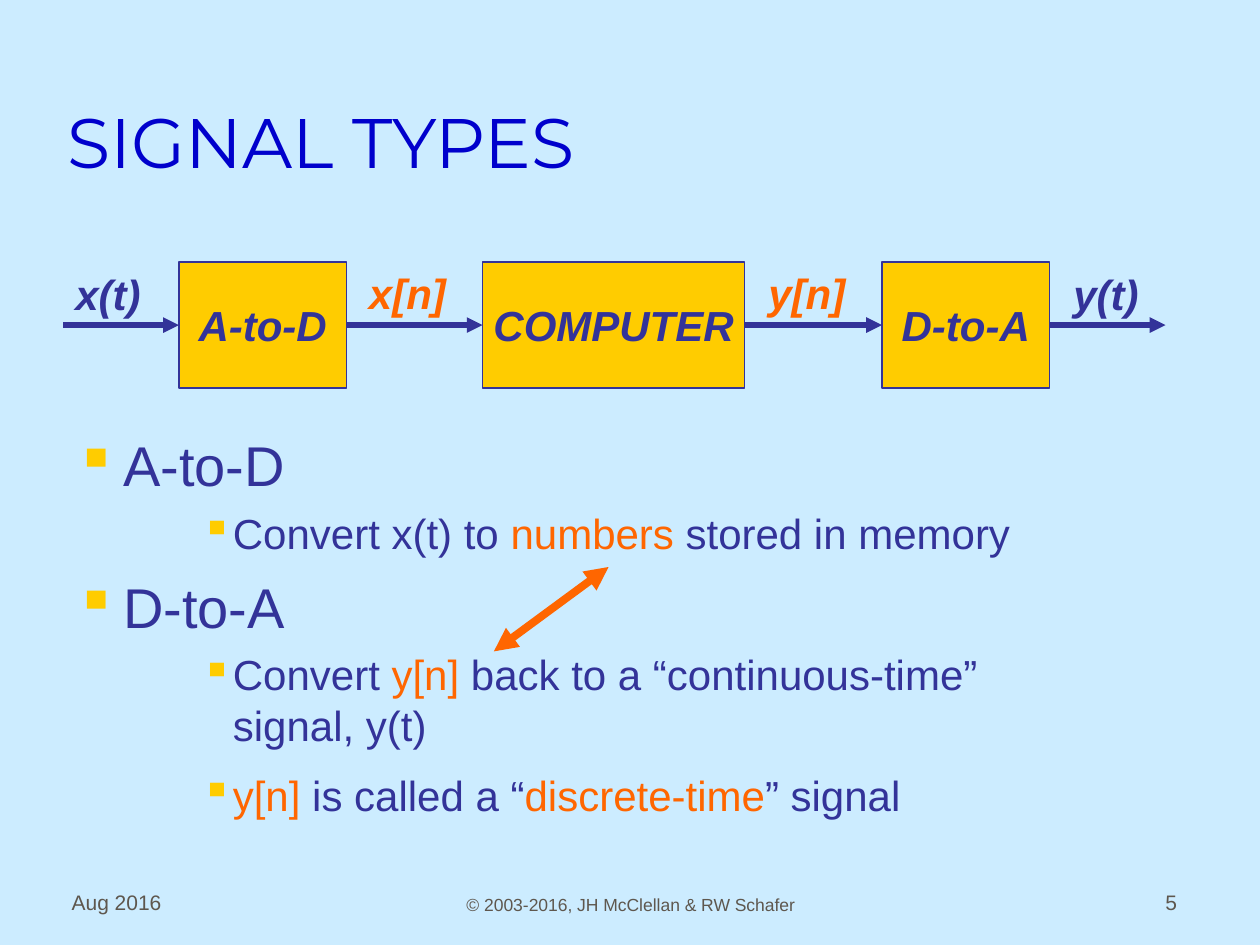
from pptx import Presentation
from pptx.dml.color import RGBColor
from pptx.enum.shapes import MSO_CONNECTOR, MSO_SHAPE
from pptx.enum.text import MSO_ANCHOR, PP_ALIGN
from pptx.oxml.ns import qn
from pptx.util import Inches, Pt
from lxml import etree

RECT = MSO_SHAPE.RECTANGLE
LINE = MSO_CONNECTOR.STRAIGHT
TOP, MIDDLE, BOTTOM = MSO_ANCHOR.TOP, MSO_ANCHOR.MIDDLE, MSO_ANCHOR.BOTTOM
LEFT, CENTER, RIGHT = PP_ALIGN.LEFT, PP_ALIGN.CENTER, PP_ALIGN.RIGHT

COLORS = {"back": "CCECFF", "ink": "333399", "gold": "FFCC00",
          "hot": "FF6600", "title": "0000CC", "foot": "5E574E"}
# level: (font size, left margin, hanging indent, space before)
LEVELS = {0: (32, 0.38, 0.38, 8), 2: (24, 1.25, 0.25, 5.5)}


def color(name):
    return RGBColor.from_string(COLORS[name])


class Deck:
    """Holds the style and the current slide."""

    def __init__(self):
        self.prs = Presentation()
        self.prs.slide_width, self.prs.slide_height = Inches(10), Inches(7.5)
        self.slide = self.prs.slides.add_slide(self.prs.slide_layouts[6])
        fill = self.slide.background.fill
        fill.solid()
        fill.fore_color.rgb = color("back")

    def style(self, para, size, ink=None, bold=None, face="Arial"):
        font = para.font
        font.name, font.size = face, Pt(size)
        font.bold = font.italic = bold
        if ink:
            font.color.rgb = color(ink)

    def frame(self, left, top, width, height, anchor=TOP):
        box = self.slide.shapes.add_textbox(
            Inches(left), Inches(top), Inches(width), Inches(height))
        frame = box.text_frame
        frame.word_wrap = True
        frame.vertical_anchor = anchor
        return frame

    def text(self, words, area, size, ink, align=LEFT, anchor=TOP, **look):
        para = self.frame(*area, anchor=anchor).paragraphs[0]
        para.text, para.alignment = words, align
        self.style(para, size, ink, **look)

    def block(self, words, left, top, width, height):
        box = self.slide.shapes.add_shape(
            RECT, Inches(left), Inches(top), Inches(width), Inches(height))
        box.shadow.inherit = False
        box.fill.solid()
        box.fill.fore_color.rgb = color("gold")
        box.line.color.rgb = color("ink")
        box.line.width = Pt(0.75)
        frame = box.text_frame
        frame.word_wrap = False
        frame.vertical_anchor = MIDDLE
        para = frame.paragraphs[0]
        para.text, para.alignment = words, CENTER
        self.style(para, 24, "ink", bold=True)

    def arrow(self, start, end, ink="ink", width=3, ends=("tailEnd",)):
        line = self.slide.shapes.add_connector(
            LINE, *[Inches(v) for v in (*start, *end)])
        line.line.color.rgb = color(ink)
        line.line.width = Pt(width)
        props = line._element.spPr
        for end in ends:
            etree.SubElement(props.find(qn("a:ln")), qn(f"a:{end}"), type="triangle")
        etree.SubElement(props, qn("a:effectLst"))

    def bullets(self, items, *area):
        """Each item is (level, line spacing, [(words, colour), ...])."""
        frame = self.frame(*area)
        for i, (level, pitch, runs) in enumerate(items):
            para = frame.add_paragraph() if i else frame.paragraphs[0]
            size, margin, hang, before = LEVELS[level]
            para.level = level
            para.line_spacing = pitch
            if i:
                para.space_before = Pt(before)
            props = para._p.get_or_add_pPr()
            props.set("marL", str(Inches(margin)))
            props.set("indent", str(-Inches(hang)))
            tint = etree.SubElement(props, qn("a:buClr"))
            etree.SubElement(tint, qn("a:srgbClr"), val=COLORS["gold"])
            etree.SubElement(props, qn("a:buChar"), char="▪")
            self.style(para, size)
            for words, ink in runs:
                run = para.add_run()
                run.text = words
                run.font.color.rgb = color(ink)


def main():
    deck = Deck()
    deck.text("SIGNAL TYPES", (0.44, 0.25, 8.5, 1.25), 40, "title",
              anchor=BOTTOM, face="Montserrat")

    deck.bullets([
        (0, 1, [("A-to-D", "ink")]),
        (2, 1, [("Convert x(t) to ", "ink"), ("numbers", "hot"),
                (" stored in memory", "ink")]),
        (0, 1, [("D-to-A", "ink")]),
        (2, 1, [("Convert ", "ink"), ("y[n]", "hot"),
                (" back to a “continuous-time” signal, y(t)", "ink")]),
        (2, 1.2, [("y[n]", "hot"), (" is called a “", "ink"),
                  ("discrete-time", "hot"), ("” signal", "ink")]),
    ], 0.5, 3.37, 8.17, 3.25)

    top, tall = 2.08, 1
    axis = top + tall / 2
    blocks = [("A-to-D", 1.42, 1.33), ("COMPUTER", 3.83, 2.08), ("D-to-A", 7, 1.33)]
    for words, left, width in blocks:
        deck.block(words, left, top, width, tall)

    starts = [0.5] + [left + width for _, left, width in blocks]
    stops = [left for _, left, _ in blocks] + [9.25]
    for start, stop in zip(starts, stops):
        deck.arrow((start, axis), (stop, axis))

    labels = [("x(t)", 0.5, top, "ink"), ("x[n]", 2.83, 2.07, "hot"),
              ("y[n]", 6, 2.07, "hot"), ("y(t)", 8.42, top, "ink")]
    for words, left, high, ink in labels:
        deck.text(words, (left, high, 0.88, 0.52), 24, ink, bold=True)

    deck.arrow((4.83, 4.5), (3.92, 5.17), "hot", 4.5, ("headEnd", "tailEnd"))

    footers = [("Aug 2016", 0.47, 2.08, 12, LEFT),
               ("© 2003-2016, JH McClellan & RW Schafer", 3.42, 3.17, 10, CENTER),
               ("5", 7.36, 2.08, 12, RIGHT)]
    for words, left, width, size, align in footers:
        deck.text(words, (left, 6.81, width, 0.5), size, "foot", align, BOTTOM)

    deck.prs.save("out.pptx")


if __name__ == "__main__":
    main()
